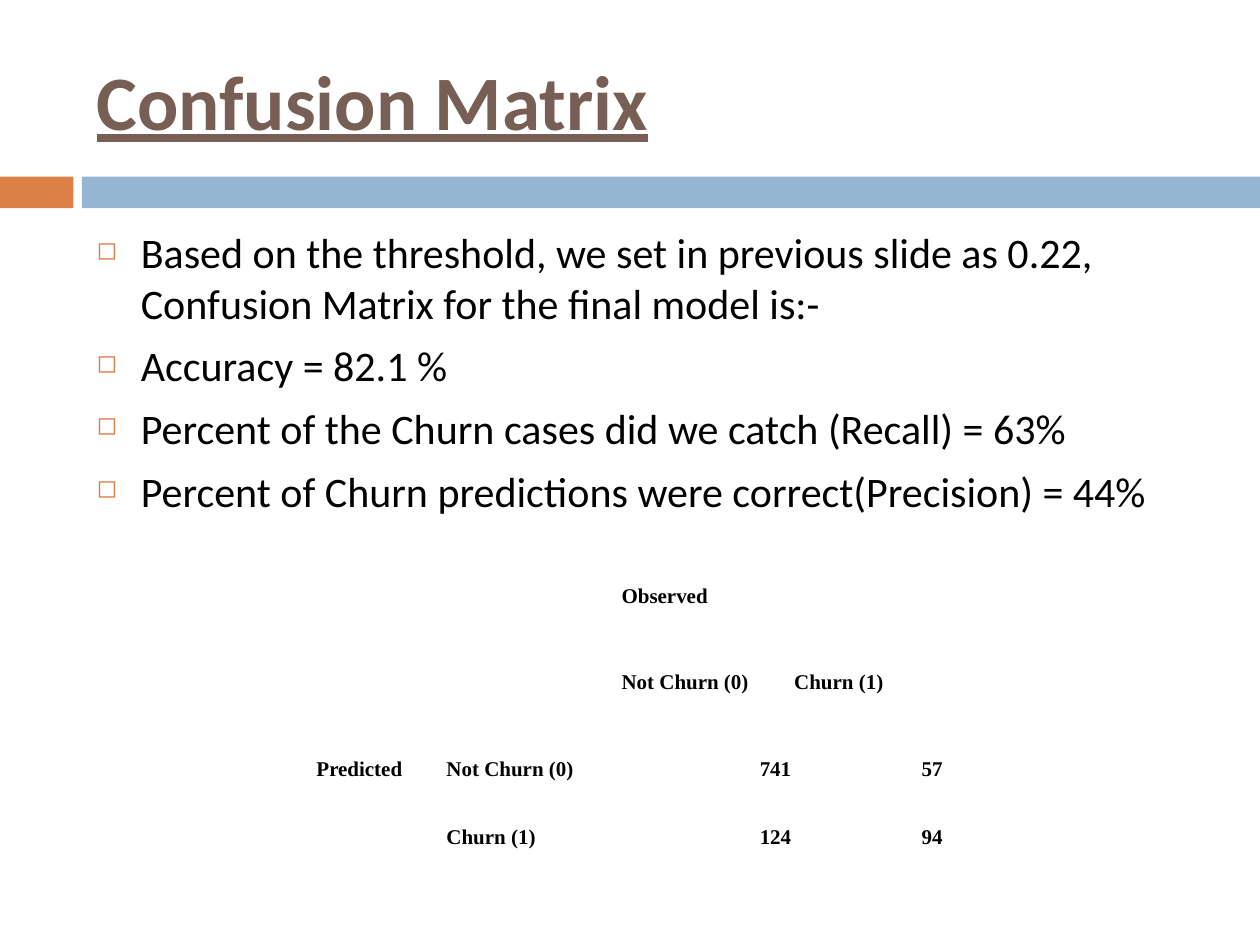
from lxml import etree
from pptx import Presentation
from pptx.dml.color import RGBColor
from pptx.enum import shapes, text
from pptx.oxml import ns
from pptx import util as u

TITLE = "Confusion Matrix"
BULLETS = [
    "Based on the threshold, we set in previous slide as 0.22, "
    "Confusion Matrix for the final model is:-",
    "Accuracy = 82.1 %",
    "Percent of the Churn cases did we catch (Recall) = 63%",
    "Percent of Churn predictions were correct(Precision) = 44%",
]
MATRIX = [
    ["", "", "Observed", ""],
    ["", "", "Not Churn (0)", "Churn (1)"],
    ["Predicted", "Not Churn (0)", "741", "57"],
    ["", "Churn (1)", "124", "94"],
]
COLUMN_WIDTHS = [2.62, 3.53, 3.48, 3.05]
ROW_HEIGHTS = [0.61, 1.75, 1.75, 1.37]
COLORS = {"orange": "DD8047", "blue": "94B6D2", "brown": "775F55", "black": "000000"}

PAGE_WIDTH, PAGE_HEIGHT = 25.4, 19.05
TEXT_LEFT, TEXT_WIDTH = 1.7, 22.66
BAND_TOP, BAND_HEIGHT = 3.56, 0.64
INDENT = u.Cm(0.89)


def style(para, name, size, color, bold=False):
    font = para.font
    font.name, font.size, font.bold = name, u.Pt(size), bold
    font.color.rgb = RGBColor.from_string(COLORS[color])


def add_band(page, left, width, color):
    band = page.shapes.add_shape(shapes.MSO_SHAPE.RECTANGLE, u.Cm(left),
                                 u.Cm(BAND_TOP), u.Cm(width), u.Cm(BAND_HEIGHT))
    band.shadow.inherit = False
    band.fill.solid()
    band.fill.fore_color.rgb = RGBColor.from_string(COLORS[color])
    band.line.fill.background()


def add_text(page, top, height):
    box = page.shapes.add_textbox(u.Cm(TEXT_LEFT), u.Cm(top),
                                  u.Cm(TEXT_WIDTH), u.Cm(height))
    box.text_frame.word_wrap = True
    return box.text_frame


def add_bullet(para):
    props = para._p.get_or_add_pPr()
    props.set("marL", str(INDENT))
    props.set("indent", str(-INDENT))
    color = etree.SubElement(props, ns.qn("a:buClr"))
    etree.SubElement(color, ns.qn("a:srgbClr"), val=COLORS["orange"])
    etree.SubElement(props, ns.qn("a:buSzPct"), val="60000")
    etree.SubElement(props, ns.qn("a:buChar"), char="◻")


def fill_cell(cell, value):
    cell.fill.background()
    cell.vertical_anchor = text.MSO_ANCHOR.BOTTOM
    cell.margin_left = cell.margin_right = cell.margin_top = u.Cm(0.03)
    cell.margin_bottom = 0
    cell.text = value
    para = cell.text_frame.paragraphs[0]
    style(para, "Times New Roman", 12, "black", bold=True)
    if value.isdigit():
        para.alignment = text.PP_ALIGN.RIGHT
    if not value:  # keeps empty cells from stretching their row
        etree.SubElement(para._p, ns.qn("a:endParaRPr"), sz="1200")


def main():
    deck = Presentation()
    deck.slide_width, deck.slide_height = u.Cm(PAGE_WIDTH), u.Cm(PAGE_HEIGHT)
    page = deck.slides.add_slide(deck.slide_layouts[6])

    # Bands under the title
    add_band(page, 0, 1.48, "orange")
    add_band(page, 1.65, PAGE_WIDTH - 1.65, "blue")

    # Title
    frame = add_text(page, 0.64, 2.74)
    frame.vertical_anchor = text.MSO_ANCHOR.MIDDLE
    para = frame.paragraphs[0]
    para.text = TITLE
    style(para, "Calibri", 44, "brown", bold=True)
    para.font.underline = True

    # Bullets
    frame = add_text(page, 4.45, 12.5)
    for index, line in enumerate(BULLETS):
        para = frame.add_paragraph() if index else frame.paragraphs[0]
        para.text = line
        add_bullet(para)
        para.space_before = u.Pt(7)
        style(para, "Calibri", 24, "black")

    # Confusion matrix
    table = page.shapes.add_table(
        len(MATRIX), len(MATRIX[0]), u.Cm(6.35), u.Cm(11.64),
        u.Cm(sum(COLUMN_WIDTHS)), u.Cm(sum(ROW_HEIGHTS))).table
    table.first_row = table.horz_banding = False
    for column, width in zip(table.columns, COLUMN_WIDTHS):
        column.width = u.Cm(width)
    for row, height, values in zip(table.rows, ROW_HEIGHTS, MATRIX):
        row.height = u.Cm(height)
        for cell, value in zip(row.cells, values):
            fill_cell(cell, value)

    deck.save("out.pptx")


if __name__ == "__main__":
    main()
